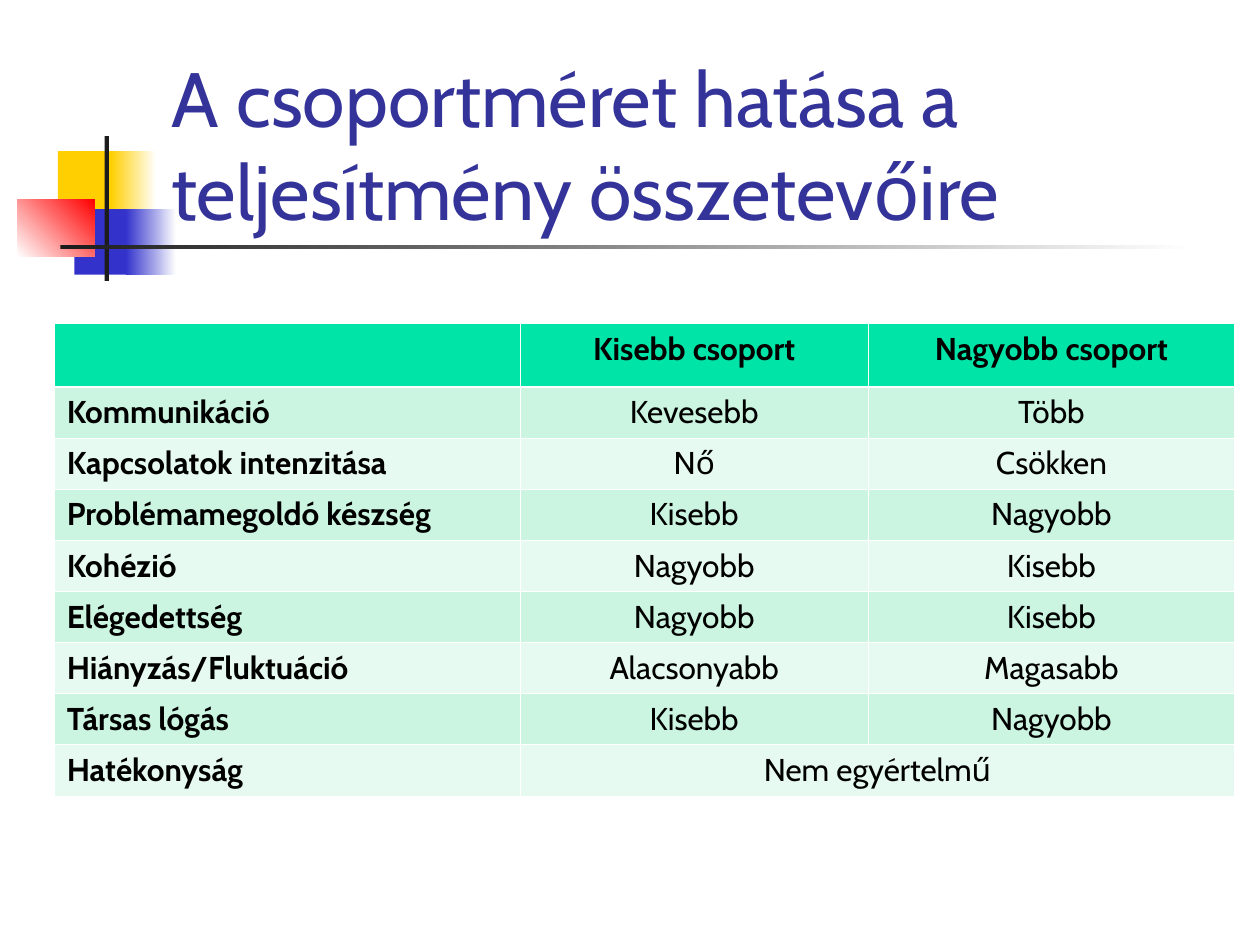
from typing import NamedTuple

from lxml import etree
from pptx import Presentation
from pptx.dml.color import RGBColor
from pptx.enum.shapes import MSO_SHAPE
from pptx.enum.text import MSO_ANCHOR, MSO_AUTO_SIZE, PP_ALIGN
from pptx.oxml.ns import qn
from pptx.util import Inches, Pt

RECT = MSO_SHAPE.RECTANGLE
LEFT, CENTER = PP_ALIGN.LEFT, PP_ALIGN.CENTER
BOTTOM, TOP = MSO_ANCHOR.BOTTOM, MSO_ANCHOR.TOP
NO_FIT = MSO_AUTO_SIZE.NONE

WIDE, HIGH = Inches(10), Inches(7.5)
COLS, ROWS = 100, 75
FONT = "Cabin"
WHITE, BLACK, GOLD, BLUE, DARK = "FFFFFF", "000000", "FFCF01", "3333CC", "1C1C1C"
HEAD, BANDS = "00E4A8", ("CBF5E1", "E7FAF1")
THIN, THICK = 0.45, 1.47


class Box(NamedTuple):
    x: float
    y: float
    w: float
    h: float


class Block(NamedTuple):
    box: Box
    start: str
    end: str = ""
    angle: int = 0


class Line(NamedTuple):
    label: str
    small: str
    large: str = ""


BLOCKS = (
    Block(Box(4.6, 12, 4.8, 5.2), GOLD),
    Block(Box(8.8, 12, 3.6, 5.2), GOLD, WHITE),
    Block(Box(5.9, 16.6, 4.6, 5.2), BLUE),
    Block(Box(10, 16.6, 4, 5.2), BLUE, WHITE),
    Block(Box(1.4, 15.8, 6.1, 4.6), WHITE, "FF0000", 45),
    Block(Box(8.3, 10.8, 0.35, 11.5), DARK),
    Block(Box(4.8, 19.45, 90, 0.35), DARK, WHITE),
)
LINES = (
    Line("", "Kisebb csoport", "Nagyobb csoport"),
    Line("Kommunikáció", "Kevesebb", "Több"),
    Line("Kapcsolatok intenzitása", "Nő", "Csökken"),
    Line("Problémamegoldó készség", "Kisebb", "Nagyobb"),
    Line("Kohézió", "Nagyobb", "Kisebb"),
    Line("Elégedettség", "Nagyobb", "Kisebb"),
    Line("Hiányzás/Fluktuáció", "Alacsonyabb", "Magasabb"),
    Line("Társas lógás", "Kisebb", "Nagyobb"),
    Line("Hatékonyság", "Nem egyértelmű"),
)
WIDTHS = (37, 27.6, 29.1)
TALL, LOW = 5, 4.06


def rgb(code: str) -> RGBColor:
    return RGBColor.from_string(code)


def across(cols: float) -> int:
    return round(WIDE * cols / COLS)


def down(rows: float) -> int:
    return round(HIGH * rows / ROWS)


def place(box: Box) -> tuple[int, int, int, int]:
    return across(box.x), down(box.y), across(box.w), down(box.h)


def write(frame, text: str, size: float, color: str, align, bold: bool = False) -> None:
    par = frame.paragraphs[0]
    par.alignment = align
    run = par.add_run()
    run.text = text
    run.font.name = FONT
    run.font.size = Pt(size)
    run.font.bold = bold
    run.font.color.rgb = rgb(color)


def draw_block(slide, block: Block) -> None:
    shape = slide.shapes.add_shape(RECT, *place(block.box))
    shape.shadow.inherit = False
    shape.line.fill.background()
    if block.end:
        shape.fill.gradient()
        shape.fill.gradient_angle = block.angle
        for stop, code in zip(shape.fill.gradient_stops, (block.start, block.end)):
            stop.color.rgb = rgb(code)
    else:
        shape.fill.solid()
        shape.fill.fore_color.rgb = rgb(block.start)


def draw_title(slide, box: Box, text: str) -> None:
    title = slide.shapes.title
    title.left, title.top, title.width, title.height = place(box)
    frame = title.text_frame
    frame.word_wrap = True
    frame.auto_size = NO_FIT
    frame.vertical_anchor = BOTTOM
    write(frame, text, 44, "333399", LEFT)
    slide.shapes._spTree.append(title._element)


def edge_cell(cell, top: float, base: float) -> None:
    props = cell._tc.get_or_add_tcPr()
    sides = {"L": THIN, "R": THIN, "T": top, "B": base}
    for spot, (side, width) in enumerate(sides.items()):
        edge = etree.Element(qn(f"a:ln{side}"), w=str(Pt(width)))
        fill = etree.SubElement(edge, qn("a:solidFill"))
        etree.SubElement(fill, qn("a:srgbClr"), val=WHITE)
        props.insert(spot, edge)


def draw_table(slide, x: float, y: float) -> None:
    count = len(LINES)
    box = Box(x, y, sum(WIDTHS), TALL + LOW * (count - 1))
    table = slide.shapes.add_table(count, len(WIDTHS), *place(box)).table
    for col, width in zip(table.columns, WIDTHS):
        col.width = across(width)
    for r, line in enumerate(LINES):
        table.rows[r].height = down(LOW if r else TALL)
        for c, text in enumerate(line):
            cell = table.cell(r, c)
            cell.vertical_anchor = TOP
            cell.fill.solid()
            cell.fill.fore_color.rgb = rgb(BANDS[(r - 1) % 2] if r else HEAD)
            edge_cell(cell, THICK if r == 1 else THIN, THIN if r else THICK)
            if text:
                write(cell.text_frame, text, 18, BLACK, CENTER if c else LEFT, r == 0 or c == 0)
        if not line.large:
            table.cell(r, 1).merge(table.cell(r, 2))


def main() -> None:
    deck = Presentation()
    deck.slide_width, deck.slide_height = WIDE, HIGH
    slide = deck.slides.add_slide(deck.slide_layouts[5])
    for block in BLOCKS:
        draw_block(slide, block)
    draw_title(slide, Box(12.6, 3.6, 85.2, 15.6), "A csoportméret hatása a teljesítmény összetevőire")
    draw_table(slide, 4.3, 25.7)
    deck.save("out.pptx")


if __name__ == "__main__":
    main()
